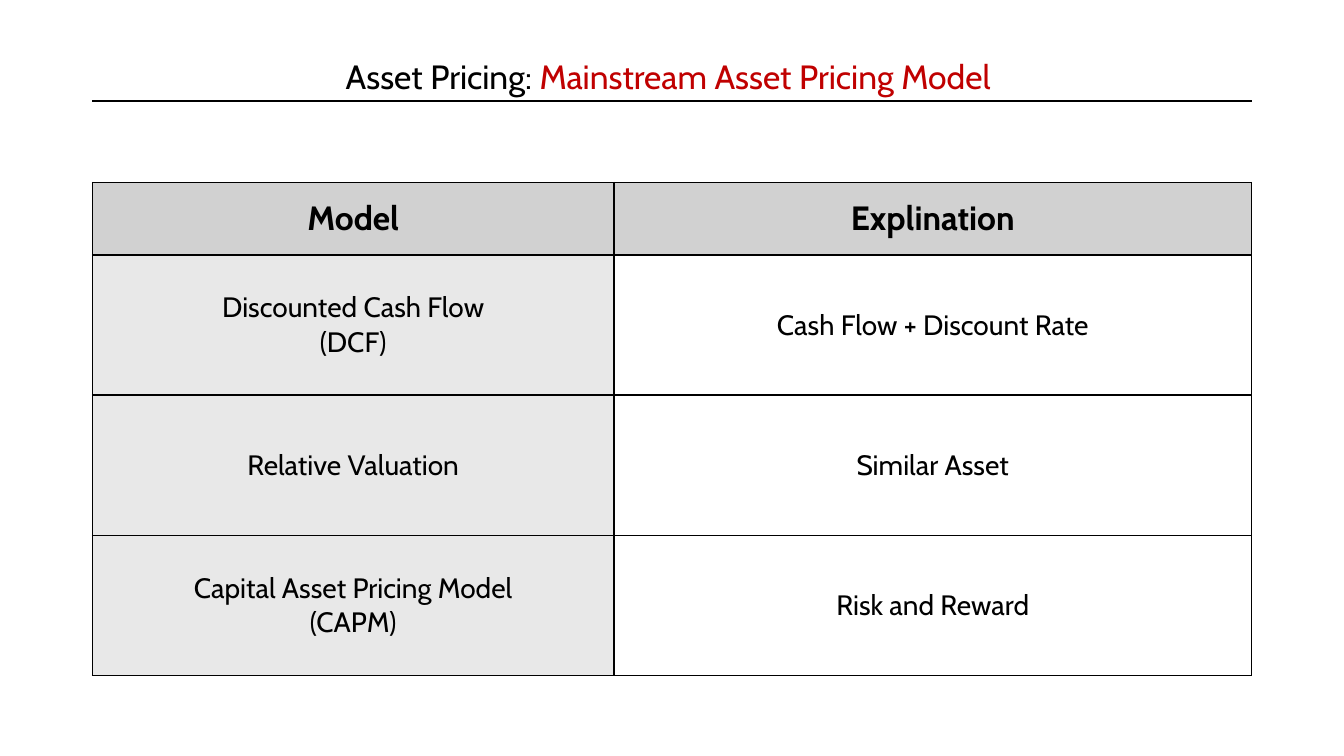
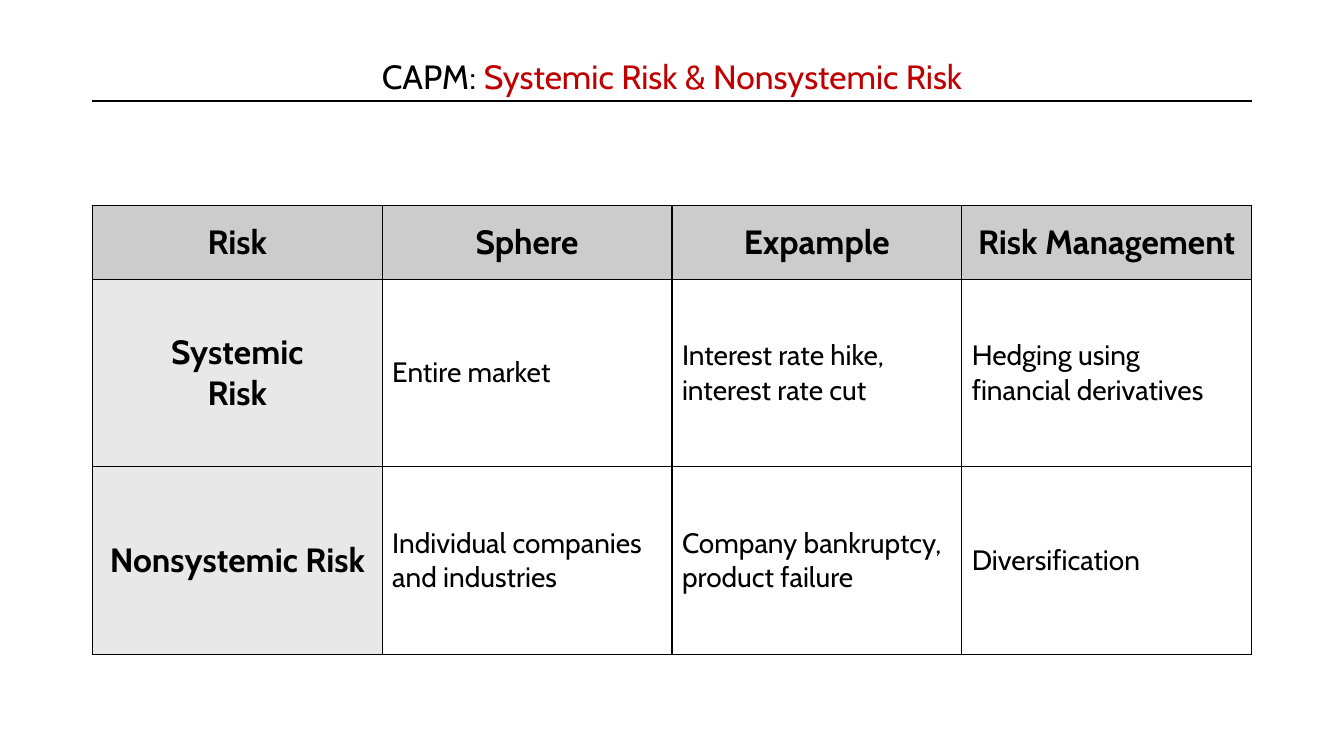
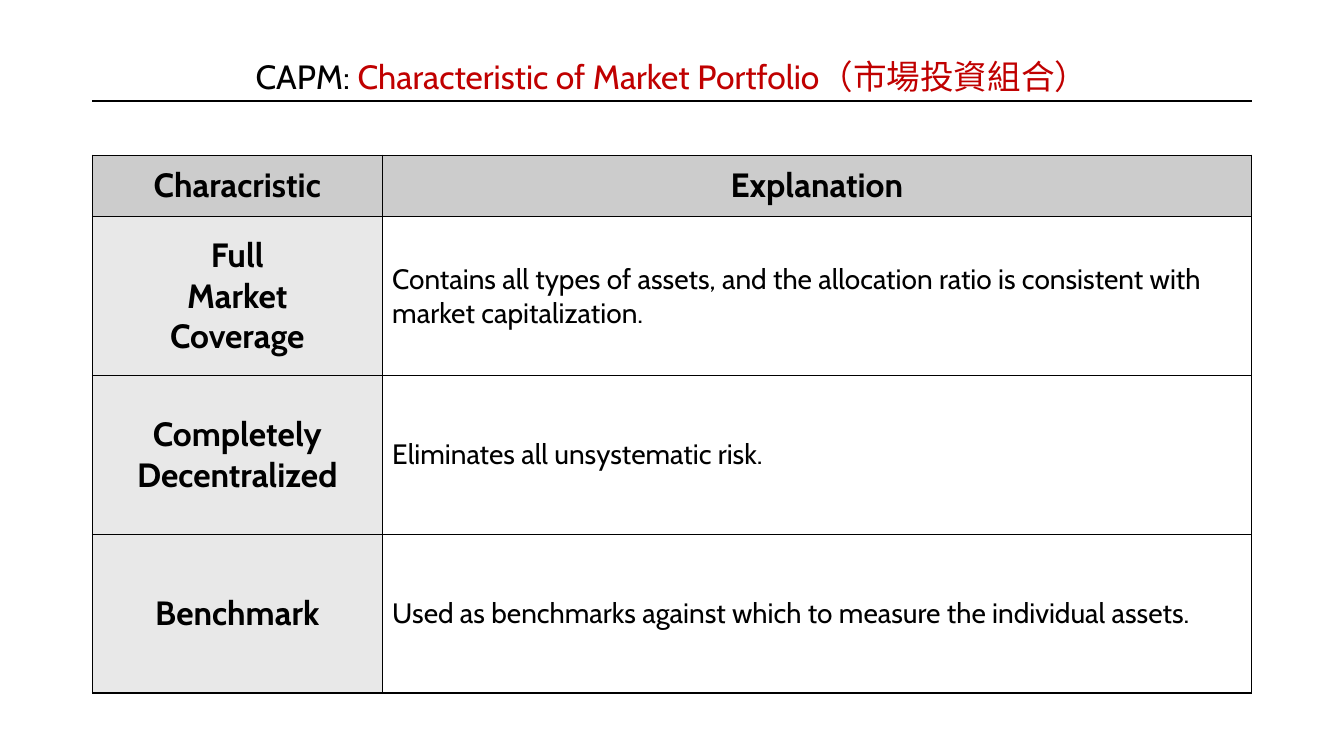
"""Build three slides on asset pricing, each with a ruled title and a table."""
import pptx
import pptx.dml.color
import pptx.enum.shapes
import pptx.enum.text
import pptx.oxml
import pptx.oxml.ns
import pptx.util

BLACK = pptx.dml.color.RGBColor(0x00, 0x00, 0x00)
WHITE = pptx.dml.color.RGBColor(0xFF, 0xFF, 0xFF)
RED = pptx.dml.color.RGBColor(0xC0, 0x00, 0x00)
LABEL_GREY = pptx.dml.color.RGBColor(0xE8, 0xE8, 0xE8)
HEADER_GREY = pptx.dml.color.RGBColor(0xCC, 0xCC, 0xCC)
LIGHT_HEADER_GREY = pptx.dml.color.RGBColor(0xD1, 0xD1, 0xD1)

FONT = "Cabin"
LARGE, SMALL = 24, 20
GRID_COLUMNS, GRID_ROWS = 40, 75
LEFT, WIDTH = 2.75, 34.5
TITLE_TOP, TITLE_HEIGHT = 5, 5

CENTER = pptx.enum.text.PP_ALIGN.CENTER
START = pptx.enum.text.PP_ALIGN.LEFT


def write(paragraph, text, size=LARGE, bold=False, color=BLACK, alignment=CENTER):
    paragraph.alignment = alignment
    run = paragraph.add_run()
    run.text = text
    run.font.name = FONT
    run.font.size = pptx.util.Pt(size)
    run.font.bold = bold
    run.font.color.rgb = color


class Deck:
    def __init__(self):
        self.presentation = pptx.Presentation()
        self.presentation.slide_height = pptx.util.Inches(7.5)
        self.presentation.slide_width = self.presentation.slide_height * 16 // 9
        self.slide = None

    def x(self, columns):
        return round(self.presentation.slide_width * columns / GRID_COLUMNS)

    def y(self, rows):
        return round(self.presentation.slide_height * rows / GRID_ROWS)

    def add_slide(self, topic, subject):
        layout = self.presentation.slide_layouts.get_by_name("Title Only")
        self.slide = self.presentation.slides.add_slide(layout)
        self.slide.background.fill.solid()
        self.slide.background.fill.fore_color.rgb = WHITE
        self.add_title(topic, subject)
        self.add_rule(TITLE_TOP + TITLE_HEIGHT)

    def add_title(self, topic, subject):
        title = self.slide.shapes.title
        title.left, title.top = self.x(LEFT), self.y(TITLE_TOP)
        title.width, title.height = self.x(WIDTH), self.y(TITLE_HEIGHT)
        frame = title.text_frame
        frame.word_wrap = True
        frame.auto_size = pptx.enum.text.MSO_AUTO_SIZE.NONE
        frame.vertical_anchor = pptx.enum.text.MSO_ANCHOR.TOP
        write(frame.paragraphs[0], topic + ": ")
        write(frame.paragraphs[0], subject, color=RED)

    def add_rule(self, row):
        rule = self.slide.shapes.add_connector(
            pptx.enum.shapes.MSO_CONNECTOR.STRAIGHT,
            self.x(LEFT), self.y(row), self.x(LEFT + WIDTH), self.y(row))
        rule.line.color.rgb = BLACK
        rule.line.width = pptx.util.Pt(1.5)
        properties = rule._element.spPr
        properties.append(pptx.oxml.parse_xml(
            f'<a:effectLst {pptx.oxml.ns.nsdecls("a")}/>'))

    def add_table(self, top, header_height, body_height, shares, rows,
                  header_fill=HEADER_GREY, label_format=None, body_format=None):
        label_format = label_format or {"bold": True}
        body_format = body_format or {"size": SMALL, "alignment": START}
        height = header_height + body_height * (len(rows) - 1)
        table = self.slide.shapes.add_table(
            len(rows), len(shares), self.x(LEFT), self.y(top),
            self.x(WIDTH), self.y(height)).table
        for column, share in zip(table.columns, shares):
            column.width = self.x(WIDTH * share)
        for row_index, texts in enumerate(rows):
            table.rows[row_index].height = self.y(body_height if row_index else header_height)
            for column_index, text in enumerate(texts):
                cell = table.cell(row_index, column_index)
                if row_index == 0:
                    self.fill_cell(cell, text, header_fill, bold=True)
                elif column_index == 0:
                    self.fill_cell(cell, text, LABEL_GREY, **label_format)
                else:
                    self.fill_cell(cell, text, WHITE, **body_format)

    def fill_cell(self, cell, text, fill, **text_format):
        properties = cell._tc.get_or_add_tcPr()
        for side in ("lnL", "lnR", "lnT", "lnB"):
            properties.append(pptx.oxml.parse_xml(
                f'<a:{side} {pptx.oxml.ns.nsdecls("a")} w="{pptx.util.Pt(1)}">'
                f'<a:solidFill><a:srgbClr val="{BLACK}"/></a:solidFill></a:{side}>'))
        cell.fill.solid()
        cell.fill.fore_color.rgb = fill
        cell.vertical_anchor = pptx.enum.text.MSO_ANCHOR.MIDDLE
        frame = cell.text_frame
        for index, line in enumerate(text.split("\n")):
            paragraph = frame.add_paragraph() if index else frame.paragraphs[0]
            write(paragraph, line, **text_format)


def main():
    deck = Deck()

    deck.add_slide("Asset Pricing", "Mainstream Asset Pricing Model ")
    deck.add_table(18.1, 7.2, 13.9, (0.45, 0.55), (
        ("Model", "Explination"),
        ("Discounted Cash Flow\n(DCF)", "Cash Flow + Discount Rate"),
        ("Relative Valuation", "Similar Asset"),
        ("Capital Asset Pricing Model\n(CAPM)", "Risk and Reward"),
    ), header_fill=LIGHT_HEADER_GREY,
        label_format={"size": SMALL}, body_format={"size": SMALL})

    deck.add_slide("CAPM", "Systemic Risk & Nonsystemic Risk")
    deck.add_table(20.4, 7.3, 18.6, (0.25,) * 4, (
        ("Risk", "Sphere", "Expample", "Risk Management"),
        ("Systemic\nRisk", "Entire market", "Interest rate hike, interest rate cut",
         "Hedging using financial derivatives"),
        ("Nonsystemic Risk", "Individual companies and industries",
         "Company bankruptcy, product failure", "Diversification"),
    ))

    deck.add_slide("CAPM", "Characteristic of Market Portfolio（市場投資組合）")
    deck.add_table(15.4, 6.1, 15.75, (0.25, 0.75), (
        ("Characristic", "Explanation"),
        ("Full\nMarket\nCoverage", "Contains all types of assets, and the allocation ratio "
         "is consistent with market capitalization."),
        ("Completely Decentralized", "Eliminates all unsystematic risk."),
        ("Benchmark", "Used as benchmarks against which to measure the individual assets."),
    ))

    deck.presentation.save("out.pptx")


if __name__ == "__main__":
    main()
